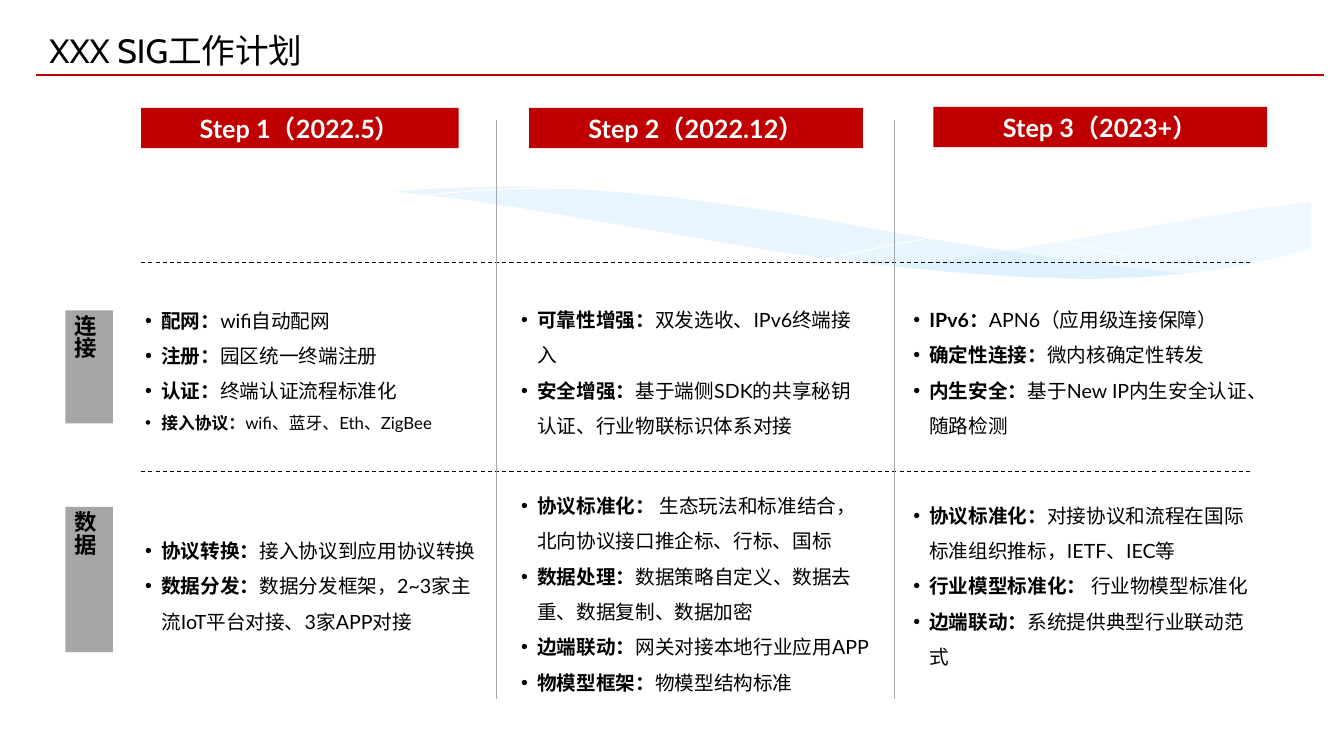
from dataclasses import dataclass
from typing import NamedTuple

from lxml import etree
from pptx import Presentation, util as u
from pptx.dml import color as dml
from pptx.enum import dml as styles, shapes, text
from pptx.oxml import ns

# Grid: one cell is a tenth of an inch, on both axes
CELL = 91440
COLUMNS, ROWS = 133.33, 75
COLORS = {"red": "C00000", "grey": "A6A6A6", "black": "000000",
          "white": "FFFFFF", "sky": "C6E7FC"}
MARGIN = 0.4
COMPARISON_LAYOUT = 4


class Box(NamedTuple):
    col: float
    row: float
    cols: float
    rows: float


class Entry(NamedTuple):
    term: str
    detail: str = ""
    size: float | None = None


class Wave(NamedTuple):
    points: list[tuple[int, int]]  # tenths of a cell
    opacity: int = 0  # percent; 0 means outline only
    color: str = "sky"


class Rule(NamedTuple):
    start: tuple[float, float]
    end: tuple[float, float]
    color: str
    weight: float = 0.75
    dashed: bool = False


@dataclass
class Step:
    heading: str
    heading_box: Box
    list_boxes: tuple[Box, Box]  # connection, data
    lists: tuple[list[Entry], list[Entry]]


STEPS = [
    Step("Step 1（2022.5）", Box(14, 10.7, 31.5, 4),
         (Box(14, 28.7, 33.9, 15), Box(14, 47.7, 33.9, 19.7)),
         ([Entry("配网：", "wifi自动配网"),
           Entry("注册：", "园区统一终端注册"),
           Entry("认证：", "终端认证流程标准化"),
           Entry("接入协议：", "wifi、蓝牙、Eth、ZigBee", 12)],
          [Entry("协议转换：", "接入协议到应用协议转换"),
           Entry("数据分发：", "数据分发框架，2~3家主流IoT平台对接、3家APP对接")])),
    Step("Step 2（2022.12）", Box(52.5, 10.7, 33.1, 4),
         (Box(51.3, 28.7, 35.4, 15.4), Box(51.3, 48.5, 35.4, 19.7)),
         ([Entry("可靠性增强：", "双发选收、IPv6终端接入"),
           Entry("安全增强：", "基于端侧SDK的共享秘钥认证、行业物联标识体系对接")],
          [Entry("协议标准化： ", "生态玩法和标准结合，北向协议接口推企标、行标、国标"),
           Entry("数据处理：", "数据策略自定义、数据去重、数据复制、数据加密"),
           Entry("边端联动：", "网关对接本地行业应用APP"),
           Entry("物模型框架：", "物模型结构标准")])),
    Step("Step 3（2023+）", Box(92.6, 10.6, 33.1, 4),
         (Box(90.2, 28.7, 35.4, 15.4), Box(90.2, 47.7, 35.4, 19.7)),
         ([Entry("IPv6：", "APN6（应用级连接保障）"),
           Entry("确定性连接：", "微内核确定性转发"),
           Entry("内生安全：", "基于New IP内生安全认证、随路检测")],
          [Entry("协议标准化：", "对接协议和流程在国际标准组织推标，IETF、IEC等"),
           Entry("行业模型标准化： ", "行业物模型标准化"),
           Entry("边端联动：", "系统提供典型行业联动范式")])),
]
TOPICS = {"连接": Box(6.5, 30.8, 4.7, 11.2), "数据": Box(6.5, 50.3, 4.7, 14.4)}
RULES = [
    Rule((3.6, 7.4), (131.3, 7.4), "red", 1.5),
    *(Rule((14, row), (124.2, row), "black", dashed=True) for row in (26, 46.8)),
    *(Rule((col, 11.9), (col, 69.3), "grey") for col in (49.3, 88.7)),
]
WAVES = [
    Wave([(1301, 200), (1246, 207), (1188, 216), (1110, 230), (1038, 242), (972, 253),
          (882, 265), (940, 271), (993, 275), (1041, 277), (1085, 278), (1126, 277),
          (1163, 274), (1196, 270), (1228, 265), (1257, 259), (1284, 252), (1301, 247)], 29),
    Wave([(1190, 273), (1116, 265), (1034, 254), (941, 240), (839, 222), (778, 211),
          (721, 203), (669, 196), (619, 191), (560, 187), (506, 185), (459, 186),
          (418, 188), (382, 191), (431, 196), (483, 203), (539, 211), (599, 222),
          (654, 232), (706, 240), (755, 248), (802, 255), (867, 264), (926, 270),
          (981, 275), (1030, 277), (1076, 278), (1118, 278), (1156, 276)], 40),
    Wave([(412, 195), (438, 192), (470, 189), (516, 187), (577, 187), (625, 189),
          (680, 192), (742, 197), (811, 204), (886, 213), (970, 226), (1060, 241),
          (1108, 251), (1158, 261), (1210, 272)]),
    Wave([(818, 257), (870, 246), (927, 235), (997, 223), (1075, 210), (1155, 199),
          (1213, 192), (1250, 188), (1300, 185)]),
    Wave([(1303, 246), (1266, 256), (1227, 265), (1183, 271), (1134, 275), (1078, 277),
          (1015, 275), (944, 270), (863, 262), (772, 250), (671, 233), (596, 220),
          (521, 207), (453, 197), (390, 190), (333, 186), (282, 184), (235, 184),
          (176, 186), (127, 191), (89, 197), (54, 205), (31, 213), (31, 329),
          (1303, 329)], 100, "white"),
]


def cells(*counts: float) -> list[int]:
    return [round(count * CELL) for count in counts]


def rgb(name: str) -> dml.RGBColor:
    return dml.RGBColor.from_string(COLORS[name])


def place(shape, box: Box) -> None:
    shape.left, shape.top, shape.width, shape.height = cells(*box)


def write(shape, entries: list[Entry], *, size: float, color: str = "black",
          font: str = "Lato", bold: bool = True, align=text.PP_ALIGN.LEFT,
          anchor=text.MSO_ANCHOR.MIDDLE, spacing: float = 1,
          margin: float | None = MARGIN, bulleted: bool = False) -> None:
    frame = shape.text_frame
    frame.word_wrap = True
    frame.auto_size = text.MSO_AUTO_SIZE.NONE
    frame.vertical_anchor = anchor
    if margin is not None:
        (frame.margin_left, frame.margin_top,
         frame.margin_right, frame.margin_bottom) = cells(*[margin] * 4)
    for index, entry in enumerate(entries):
        paragraph = frame.add_paragraph() if index else frame.paragraphs[0]
        paragraph.alignment, paragraph.line_spacing = align, spacing
        paragraph.space_before = u.Pt(0)
        if bulleted:
            props = paragraph._p.get_or_add_pPr()
            props.set("marL", str(cells(1.6)[0]))
            props.set("indent", str(cells(-1.6)[0]))
            etree.SubElement(props, ns.qn("a:buFont"), typeface="Arial")
            etree.SubElement(props, ns.qn("a:buChar"), char="•")
        for words, heavy in ((entry.term, bold), (entry.detail, False)):
            if words:
                run = paragraph.add_run()
                run.text = words
                run.font.name, run.font.bold = font, heavy
                run.font.size = u.Pt(entry.size or size)
                run.font.color.rgb = rgb(color)


def draw_block(slide, box: Box, color: str):
    block = slide.shapes.add_shape(shapes.MSO_SHAPE.RECTANGLE, *cells(*box))
    block.shadow.inherit = False
    block.fill.solid()
    block.fill.fore_color.rgb = rgb(color)
    block.line.fill.background()
    return block


def draw_rule(slide, rule: Rule) -> None:
    line = slide.shapes.add_connector(shapes.MSO_CONNECTOR.STRAIGHT,
                                      *cells(*rule.start, *rule.end))
    line.line.color.rgb = rgb(rule.color)
    line.line.width = u.Pt(rule.weight)
    if rule.dashed:
        line.line.dash_style = styles.MSO_LINE.DASH
    etree.SubElement(line._element.spPr, ns.qn("a:effectLst"))


def draw_waves(slide) -> None:
    group = slide.shapes.add_group_shape()
    for wave in WAVES:
        builder = group.shapes.build_freeform(*wave.points[0], scale=CELL / 10)
        builder.add_line_segments(wave.points[1:], close=wave.opacity > 0)
        ribbon = builder.convert_to_shape()
        ribbon.shadow.inherit = False
        if wave.opacity:
            ribbon.fill.solid()
            ribbon.fill.fore_color.rgb = rgb(wave.color)
            tint = ribbon._element.spPr.find(".//" + ns.qn("a:srgbClr"))
            etree.SubElement(tint, ns.qn("a:alpha"), val=str(wave.opacity * 1000))
            ribbon.line.fill.background()
        else:
            ribbon.fill.background()
            ribbon.line.color.rgb = rgb("white")
            ribbon.line.width = u.Pt(0)
    # Send behind the placeholders
    slide.shapes._spTree.insert(2, group._element)


def main() -> None:
    deck = Presentation()
    deck.slide_width, deck.slide_height = cells(COLUMNS, ROWS)
    slide = deck.slides.add_slide(deck.slide_layouts[COMPARISON_LAYOUT])
    draw_waves(slide)

    # Title
    title = slide.shapes.title
    place(title, Box(3.9, 2.5, 68.2, 9.1))
    write(title, [Entry("XXX SIG工作计划")], size=24, font="Cabin", bold=False,
          anchor=text.MSO_ANCHOR.TOP, margin=None)

    for rule in RULES:
        draw_rule(slide, rule)

    # Steps: the layout has four bodies, text boxes hold the remaining lists
    bodies = [body for body in slide.placeholders if body.placeholder_format.idx]
    for step in STEPS:
        heading = draw_block(slide, step.heading_box, "red")
        write(heading, [Entry(step.heading)], size=18, color="white",
              align=text.PP_ALIGN.CENTER)
        for box, entries in zip(step.list_boxes, step.lists):
            body = bodies.pop(0) if bodies else slide.shapes.add_textbox(*cells(*box))
            place(body, box)
            write(body, entries, size=14, spacing=1.5, bulleted=True)

    # Topics down the left side
    for topic, box in TOPICS.items():
        label = draw_block(slide, box, "grey")
        write(label, [Entry(topic)], size=16, spacing=1.3, align=text.PP_ALIGN.CENTER)
        label.text_frame._txBody.bodyPr.set("vert", "eaVert")

    deck.save("out.pptx")


if __name__ == "__main__":
    main()
